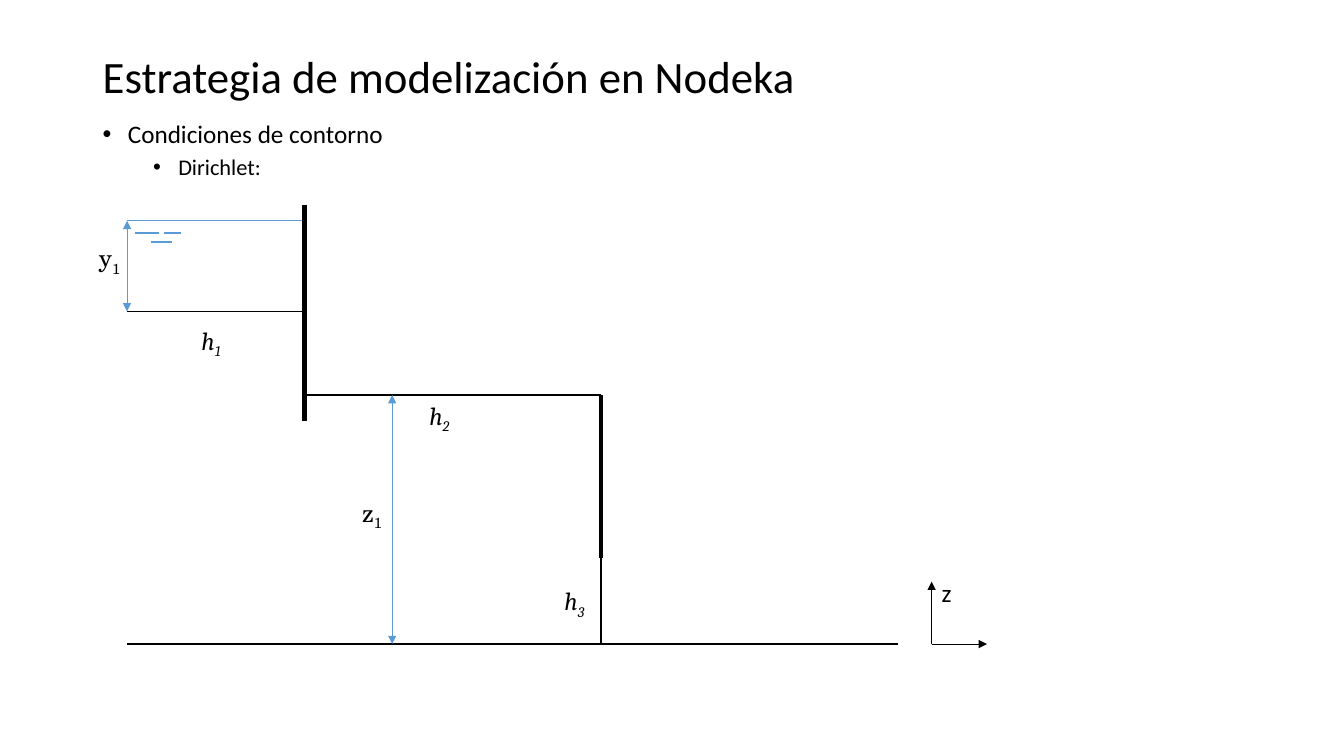
from pptx import Presentation
from pptx.dml.color import RGBColor
from pptx.enum.shapes import MSO_CONNECTOR
from pptx.enum.text import MSO_ANCHOR, MSO_AUTO_SIZE
from pptx.oxml.ns import qn
from pptx.util import Inches, Pt
from lxml.etree import SubElement

BLACK, WATER = "000000", "5B9BD5"


def rgb(value):
    return RGBColor.from_string(value)


def add_line(slide, start, end, color=BLACK, width=1, arrows=()):
    """Straight line; arrows may hold "headEnd" (start) and "tailEnd" (end)."""
    line = slide.shapes.add_connector(
        MSO_CONNECTOR.STRAIGHT, *(Inches(v) for v in (*start, *end)))
    line.line.color.rgb = rgb(color)
    line.line.width = Pt(width)
    outline = line.line._get_or_add_ln()
    for arrow in arrows:
        SubElement(outline, qn("a:" + arrow), type="triangle")
    SubElement(line._element.spPr, qn("a:effectLst"))


def add_dimension(slide, x, top, bottom):
    add_line(slide, (x, top), (x, bottom), WATER, 0.5, ("headEnd", "tailEnd"))


def add_frame(slide, left, top, width, height, wrap=True):
    box = slide.shapes.add_textbox(*(Inches(v) for v in (left, top, width, height)))
    box.text_frame.word_wrap = wrap
    return box.text_frame


def add_run(paragraph, text, size, font="Calibri", italic=None):
    run = paragraph.add_run()
    run.text = text
    run.font.size = Pt(size)
    run.font.name = font
    run.font.italic = italic
    run.font.color.rgb = rgb(BLACK)
    return run


def add_symbol(slide, left, top, letter, index, is_head=False):
    """Variable with a subscript; heads (h) are italic."""
    font = "Cambria" if is_head else "TeX Gyre Schola"
    frame = add_frame(slide, left, top, 0.42 if is_head else 0.49, 0.4, not is_head)
    frame.auto_size = MSO_AUTO_SIZE.SHAPE_TO_FIT_TEXT
    paragraph = frame.paragraphs[0]
    add_run(paragraph, letter, 18, font, is_head)
    subscript = add_run(paragraph, index, 18, font, is_head)
    subscript._r.get_or_add_rPr().set("baseline", "-25000")


def add_heading(slide, left, top, width):
    # Title
    title = add_frame(slide, left, top, width, 0.76)
    title.vertical_anchor = MSO_ANCHOR.MIDDLE
    title.paragraphs[0].line_spacing = 0.9
    add_run(title.paragraphs[0], "Estrategia de modelización en Nodeka", 32)

    # Bullets
    conditions = add_frame(slide, left, top + 0.76, width, 5.25)
    bullets = [("Condiciones de contorno", 18, 0.25, 0), ("Dirichlet:", 16, 0.75, 5)]
    for level, (text, size, indent, before) in enumerate(bullets):
        paragraph = conditions.add_paragraph() if level else conditions.paragraphs[0]
        paragraph.level = level
        paragraph.line_spacing = 0.9
        paragraph.space_before = Pt(before)
        properties = paragraph._p.get_or_add_pPr()
        properties.set("marL", str(Inches(indent)))
        properties.set("indent", str(Inches(-0.25)))
        SubElement(properties, qn("a:buFont"), typeface="Arial")
        SubElement(properties, qn("a:buChar"), char="•")
        add_run(paragraph, text, size)


def add_reservoir(slide, left, top, width, depth):
    right, bed = left + width, top + depth
    # Water surface and ripples
    add_line(slide, (left, top), (right, top), WATER)
    for start, end, drop in [(0.08, 0.32, 0.12), (0.37, 0.54, 0.12), (0.24, 0.45, 0.21)]:
        add_line(slide, (left + start, top + drop), (left + end, top + drop), WATER)
    # Bed and gate
    add_line(slide, (left, bed), (right, bed))
    add_line(slide, (right, bed), (right, bed + 0.59))
    add_line(slide, (right, top - 0.16), (right, top + 1.99), width=3)
    # Depth and head
    add_dimension(slide, left, top, bed)
    add_symbol(slide, left - 0.38, top + 0.17, "y", "1")
    add_symbol(slide, left + 0.64, bed + 0.09, "h", "1", True)


def add_step(slide, left, top, width, height):
    right, ground = left + width, top + height
    # Step and its thick upper wall
    add_line(slide, (left, top), (right, top))
    add_line(slide, (right, ground), (right, top))
    add_line(slide, (right, top), (right, top + 1.62), width=3)
    # Ground
    add_line(slide, (left - 1.76, ground), (right + 2.95, ground))
    # Elevation and heads
    add_dimension(slide, left + 0.87, top, ground)
    add_symbol(slide, left + 0.47, top + 0.96, "z", "1")
    add_symbol(slide, left + 1.14, top, "h", "2", True)
    add_symbol(slide, right - 0.46, ground - 0.63, "h", "3", True)


def add_axes(slide, left, top, width, height):
    origin = (left, top + height)
    for end in [(left, top), (left + width, top + height)]:
        add_line(slide, origin, end, width=0.5, arrows=("tailEnd",))
    label = add_frame(slide, left, top - 0.09, 0.4, 0.4)
    label.auto_size = MSO_AUTO_SIZE.SHAPE_TO_FIT_TEXT
    add_run(label.paragraphs[0], "z", 18)


def main():
    deck = Presentation()
    deck.slide_width, deck.slide_height = Inches(13.33), Inches(7.5)
    slide = deck.slides.add_slide(deck.slide_layouts[6])
    add_heading(slide, 0.92, 0.4, 11.5)
    add_reservoir(slide, 1.26, 2.19, 1.76, 0.9)
    add_step(slide, 3.02, 3.92, 2.94, 2.47)
    add_axes(slide, 9.24, 5.77, 0.55, 0.62)
    deck.save("out.pptx")


if __name__ == "__main__":
    main()
